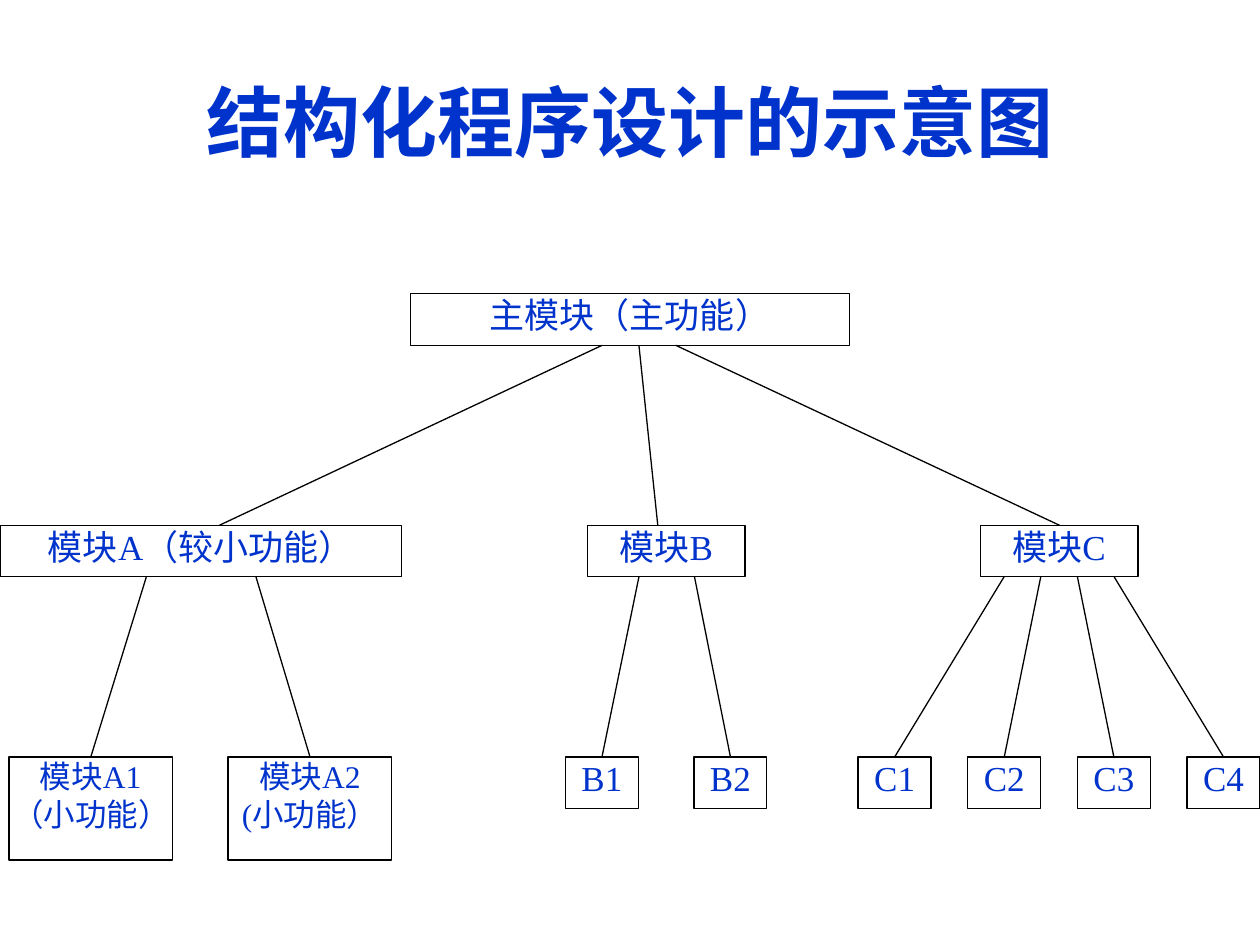
from lxml.etree import SubElement
from pptx import Presentation
from pptx.dml.color import RGBColor
from pptx.enum.shapes import MSO_CONNECTOR, MSO_SHAPE
from pptx.enum.text import MSO_ANCHOR, PP_ALIGN
from pptx.oxml.ns import qn
from pptx.util import Cm, Pt

COLORS = {"text": "0033CC", "box": "FFFFFF", "line": "000000"}
BOX_HEIGHT = 1.04
ROW_PITCH = 4.67  # from the top of one level to the top of the next


def color(name):
    return RGBColor.from_string(COLORS[name])


def format_text(frame, size, font_name, bold=False):
    for paragraph in frame.paragraphs:
        paragraph.alignment = PP_ALIGN.CENTER
        for run in paragraph.runs:
            run.font.size = Pt(size)
            run.font.name = font_name
            run.font.bold = bold
            run.font.color.rgb = color("text")


def place_title(slide, text, left, top, width, height):
    title = slide.shapes.title
    title.left, title.top = Cm(left), Cm(top)
    title.width, title.height = Cm(width), Cm(height)
    title.text_frame.text = text
    title.text_frame.vertical_anchor = MSO_ANCHOR.MIDDLE
    format_text(title.text_frame, 44, "Arial", bold=True)


def add_module(slide, text, left, top, width, height=BOX_HEIGHT, size=20):
    module = slide.shapes.add_shape(
        MSO_SHAPE.RECTANGLE, Cm(left), Cm(top), Cm(width), Cm(height))
    module.shadow.inherit = False
    module.fill.solid()
    module.fill.fore_color.rgb = color("box")
    module.line.color.rgb = color("line")
    module.line.width = Pt(0.75)
    frame = module.text_frame
    frame.margin_left = frame.margin_right = 0
    frame.margin_top = frame.margin_bottom = 0
    frame.vertical_anchor = MSO_ANCHOR.TOP
    frame.word_wrap = True
    frame.text = text
    format_text(frame, size, "Times New Roman")


def add_branch(slide, start_x, end_x, parent_top):
    """Join the bottom of a parent box to the top of the next level."""
    branch = slide.shapes.add_connector(
        MSO_CONNECTOR.STRAIGHT, Cm(start_x), Cm(parent_top + BOX_HEIGHT),
        Cm(end_x), Cm(parent_top + ROW_PITCH))
    branch.line.color.rgb = color("line")
    branch.line.width = Pt(0.75)
    SubElement(branch._element.spPr, qn("a:effectLst"))


def add_family(slide, left, top, name, width, exits, children, first_child,
               child_pitch, child_width, child_height=BOX_HEIGHT, child_size=20):
    """Draw a module with its children; x offsets count from its left edge."""
    add_module(slide, name, left, top, width)
    first_exit, exit_pitch = exits
    for index, child in enumerate(children):
        child_left = left + first_child + index * child_pitch
        add_module(slide, child, child_left, top + ROW_PITCH,
                   child_width, child_height, child_size)
        add_branch(slide, left + first_exit + index * exit_pitch,
                   child_left + child_width / 2, top)


def add_main_module(slide, left, top, entries):
    add_module(slide, "主模块（主功能）", left, top, 8.84)
    for index, entry in enumerate(entries):
        add_branch(slide, left + 3.86 + index * 0.74, entry, top)


def main():
    presentation = Presentation()
    presentation.slide_width, presentation.slide_height = Cm(25.4), Cm(19.05)
    slide = presentation.slides.add_slide(presentation.slide_layouts[5])
    place_title(slide, "结构化程序设计的示意图", 0.84, 0.84, 23.72, 3.18)

    main_top = 5.92
    family_top = main_top + ROW_PITCH
    add_family(slide, 0, family_top, "模块A（较小功能）", 8.1, (2.95, 2.21),
               ["模块A1\n（小功能）", "模块A2\n(小功能）"],
               0.18, 4.42, 3.3, 2 * BOX_HEIGHT, 18)
    add_family(slide, 11.84, family_top, "模块B", 3.18, (1.04, 1.12),
               ["B1", "B2"], -0.44, 2.59, 1.47)
    add_family(slide, 19.76, family_top, "模块C", 3.18, (0.48, 0.74),
               ["C1", "C2", "C3", "C4"], -2.46, 2.21, 1.47)
    add_main_module(slide, 8.28, main_top, entries=[4.42, 13.26, 21.36])
    presentation.save("out.pptx")


if __name__ == "__main__":
    main()
